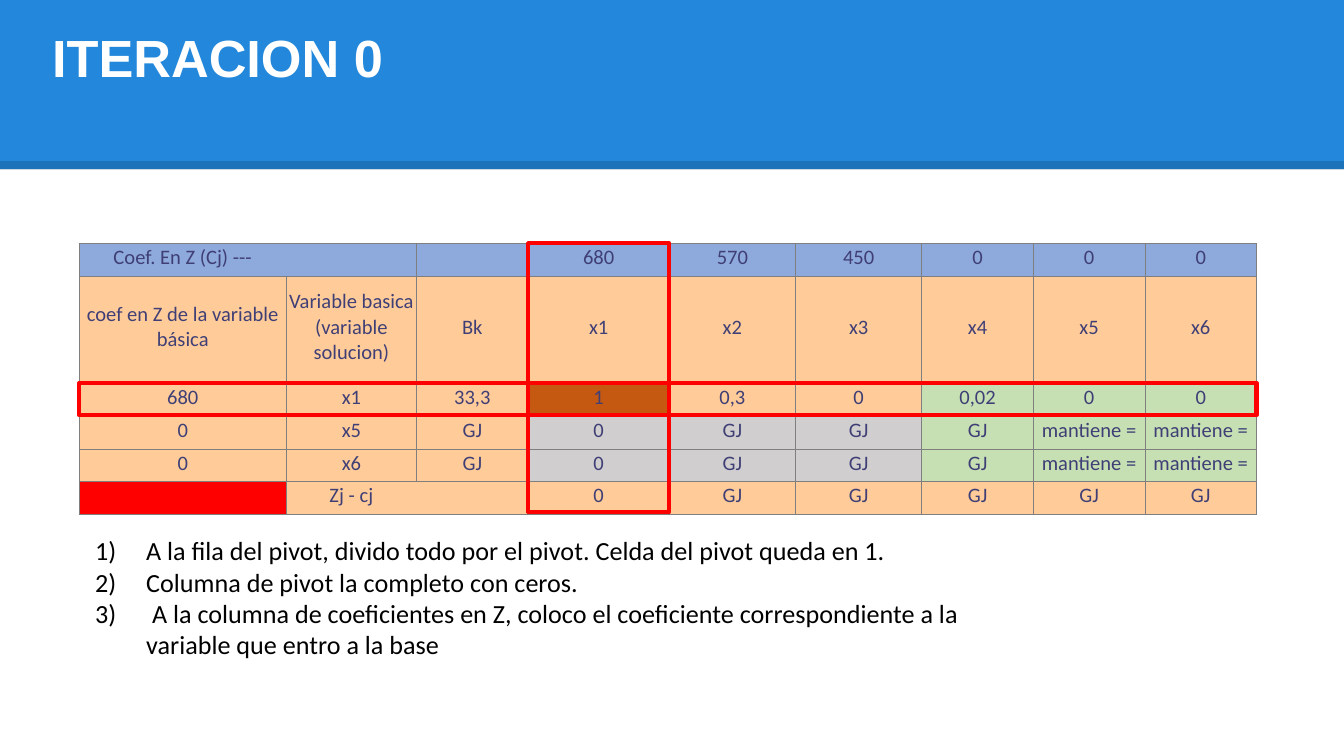
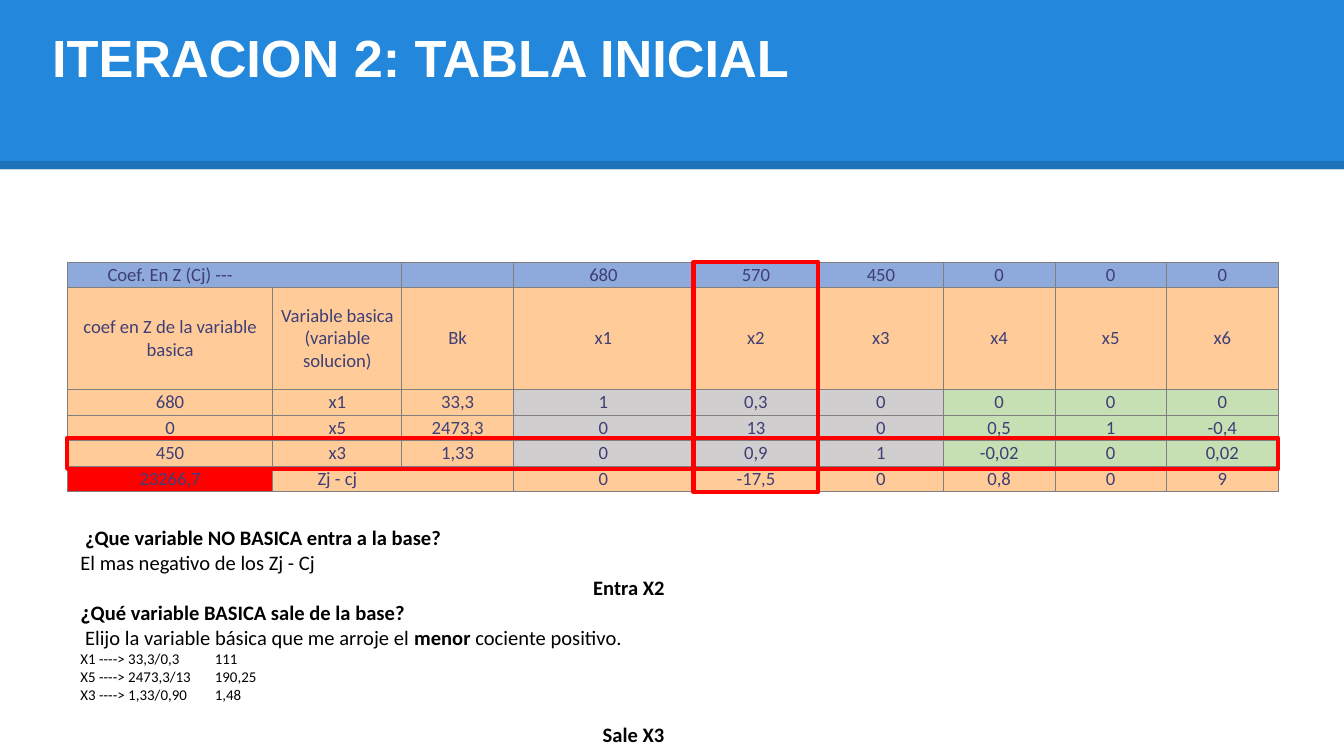
import pptx
import pptx.dml.color
import pptx.enum.shapes
import pptx.enum.text
import pptx.oxml.ns
import pptx.util
from lxml import etree

Inches = pptx.util.Inches
Pt = pptx.util.Pt
qn = pptx.oxml.ns.qn
ALIGN = pptx.enum.text.PP_ALIGN
RECTANGLE = pptx.enum.shapes.MSO_SHAPE.RECTANGLE

COLORS = {
    "band": "2388DB", "white": "FFFFFF", "black": "000000",
    "cell text": "3F3F76", "border": "7F7F7F", "frame": "FF0000",
}
# One letter per cell; "-" is a cell without fill.
FILLS = {
    "B": "8EA9DB", "O": "FFCC99", "G": "C6E0B4",
    "S": "D0CECE", "P": "C65911", "R": "FF0000",
}
NO_STYLE = "{2D5ABB26-0587-4C30-8999-92F81FD0307C}"

COEFFICIENTS = ["Coef. En Z (Cj) ---", "", "", "680", "570", "450", "0", "0", "0"]
VARIABLES = ["Variable basica (variable solucion)", "Bk", "x1", "x2", "x3", "x4", "x5", "x6"]

# Each row: height, fills, cell texts. Margins: sides and top, then bottom.
ITERATION_0 = {
    "at": (0.59, 1.81), "size": 11, "margins": (0.01, 0.05),
    "columns": [1.54, 0.97, 0.83, 1.05, 0.94, 0.94, 0.83, 0.83, 0.83],
    "rows": [
        (0.24, "BBBBBBBBB", COEFFICIENTS),
        (0.8, "OOOOOOOOO", ["coef en Z de la variable básica"] + VARIABLES),
        (0.24, "OOOPOOGGG", ["680", "x1", "33,3", "1", "0,3", "0", "0,02", "0", "0"]),
        (0.24, "OOOSSSGGG", ["0", "x5", "GJ", "0", "GJ", "GJ", "GJ", "mantiene =", "mantiene ="]),
        (0.24, "OOOSSSGGG", ["0", "x6", "GJ", "0", "GJ", "GJ", "GJ", "mantiene =", "mantiene ="]),
        (0.24, "ROOOOOOOO", ["", "Zj - cj", "", "0", "GJ", "GJ", "GJ", "GJ", "GJ"]),
    ],
    "pivot": (2, 3), "row pad": 0,
}
ITERATION_2 = {
    "at": (0.5, 1.76), "size": 10, "margins": (0, 0),
    "columns": [1.53, 0.96, 0.83, 1.34, 0.93, 0.93, 0.83, 0.83, 0.83],
    "rows": [
        (0.19, "---------", [""] * 9),
        (0.19, "BBBBBBBBB", COEFFICIENTS),
        (0.76, "OOOOOOOOO", ["coef en Z de la variable basica"] + VARIABLES),
        (0.19, "OOOSSSGGG", ["680", "x1", "33,3", "1", "0,3", "0", "0", "0", "0"]),
        (0.19, "OOOSSSGGG", ["0", "x5", "2473,3", "0", "13", "0", "0,5", "1", "-0,4"]),
        (0.19, "OOOSSSGGG", ["450", "x3", "1,33", "0", "0,9", "1", "-0,02", "0", "0,02"]),
        (0.19, "ROOOOOOOO", ["23266,7", "Zj - cj", "", "0", "-17,5", "0", "0,8", "0", "9"]),
    ],
    "pivot": (5, 4), "row pad": 0.02,
}

# Each paragraph: spans of (text, bold[, size]), then its settings.
STEPS = [
    ([(text, False)], {"size": 14, "numbered": True})
    for text in (
        "A la fila del pivot, divido todo por el pivot. Celda del pivot queda en 1.",
        "Columna de pivot la completo con ceros.",
        " A la columna de coeficientes en Z, coloco el coeficiente correspondiente a la "
        "variable que entro a la base",
    )
]
ENTERING = [
    ([(" ¿Que variable NO BASICA entra a la base?", True)], {}),
    ([("El mas negativo de los Zj - Cj", False)], {}),
    ([("Entra X2", True)], {"align": ALIGN.CENTER}),
]
LEAVING = [
    ([("¿", True, 12), ("Qué variable BASICA sale de la base?", True)], {}),
    ([(" Elijo la variable básica que me arroje el ", False), ("menor", True),
      (" cociente positivo.", False)], {}),
    ([("X1 ----> 33,3/0,3\t111", False)], {"size": 8}),
    ([("X5 ----> 2473,3/13\t190,25", False)], {"size": 8}),
    ([("X3 ----> 1,33/0,90\t1,48", False)], {"size": 8}),
    ([("Sale X3", True)], {"align": ALIGN.CENTER, "before": 10, "indent": 1.17}),
]

SLIDES = [
    {"title": "ITERACION 0", "title height": 1.99, "table": ITERATION_0,
     "texts": [((0.61, 3.93, 7.26, 1.46), STEPS)]},
    {"title": "ITERACION 2: TABLA INICIAL", "title height": 1.75, "table": ITERATION_2,
     "texts": [((0.5, 3.86, 8.36, 1.7), ENTERING), ((0.5, 4.4, 7.26, 1.23), LEAVING)]},
]


def rgb(value):
    return pptx.dml.color.RGBColor.from_string(value)


def set_font(font, name, size, color, bold=None):
    font.name = name
    font.size = Pt(size)
    font.bold = bold
    font.color.rgb = rgb(color)


def add_text_box(page, at):
    box = page.shapes.add_textbox(*map(Inches, at))
    box.text_frame.word_wrap = True
    return box.text_frame


def add_header(page, title, height):
    band = page.shapes.add_shape(RECTANGLE, 0, 0, Inches(10), Inches(1.26))
    band.shadow.inherit = False
    band.fill.solid()
    band.fill.fore_color.rgb = rgb(COLORS["band"])
    band.line.fill.background()

    edge = page.shapes.add_connector(
        pptx.enum.shapes.MSO_CONNECTOR.STRAIGHT, 0, Inches(1.23), Inches(10), Inches(1.23))
    edge.line.width = Pt(4.5)
    edge.line.color.rgb = rgb(COLORS["black"])
    properties = edge.element.find(qn("p:spPr"))
    color = next(properties.iter(qn("a:srgbClr")))
    etree.SubElement(color, qn("a:alpha"), val="14000")
    etree.SubElement(properties, qn("a:effectLst"))

    para = add_text_box(page, (0.29, 0.14, 9.12, height)).paragraphs[0]
    para.text = title
    set_font(para.font, "Arial", 28, COLORS["white"], True)


def add_borders(cell, sides):
    properties = cell._tc.get_or_add_tcPr()
    for side in "LRTB":
        line = etree.SubElement(properties, qn("a:ln" + side), w=str(Pt(0.5)))
        if side in sides:
            fill = etree.SubElement(line, qn("a:solidFill"))
            etree.SubElement(fill, qn("a:srgbClr"), val=COLORS["border"])
        else:
            etree.SubElement(line, qn("a:noFill"))


def border_sides(fills, column):
    """An empty cell right of a label shares one outline with that label."""
    if fills[column] == "-":
        return "B"
    label = {"B": 0, "R": 1}.get(fills[0])
    if label is not None and column == label:
        return "LTB"
    if label is not None and column == label + 1:
        return "RTB"
    return "LRTB"


def add_tableau(page, data):
    left, top = data["at"]
    widths = data["columns"]
    heights = [row[0] for row in data["rows"]]
    margin, bottom = map(Inches, data["margins"])
    graphic = page.shapes.add_table(
        len(heights), len(widths), Inches(left), Inches(top),
        Inches(sum(widths)), Inches(sum(heights)))
    table = graphic.table
    table.first_row = table.horz_banding = False
    next(graphic.element.iter(qn("a:tableStyleId"))).text = NO_STYLE
    for column, width in zip(table.columns, widths):
        column.width = Inches(width)

    for r, (height, fills, texts) in enumerate(data["rows"]):
        table.rows[r].height = Inches(height)
        for c, text in enumerate(texts):
            cell = table.cell(r, c)
            add_borders(cell, border_sides(fills, c))
            if fills[c] == "-":
                cell.fill.background()
            else:
                cell.fill.solid()
                cell.fill.fore_color.rgb = rgb(FILLS[fills[c]])
            cell.margin_left = cell.margin_right = cell.margin_top = margin
            cell.margin_bottom = bottom
            cell.vertical_anchor = pptx.enum.text.MSO_ANCHOR.MIDDLE
            para = cell.text_frame.paragraphs[0]
            para.alignment = ALIGN.CENTER
            set_font(para.font, "Calibri", data["size"], COLORS["cell text"])
            if text:
                para.text = text
            else:
                etree.SubElement(para._p, qn("a:endParaRPr"), sz=str(data["size"] * 100))


def add_pivot_frames(page, data):
    left, top = data["at"]
    widths = data["columns"]
    heights = [row[0] for row in data["rows"]]
    row, column = data["pivot"]
    pad = data["row pad"]
    first = next(i for i, (_, fills, _) in enumerate(data["rows"]) if fills[0] != "-")
    frames = [
        (left + sum(widths[:column]), top + sum(heights[:first]),
         widths[column], sum(heights[first:])),
        (left, top + sum(heights[:row]) - pad, sum(widths), heights[row] + 2 * pad),
    ]
    for at in frames:
        frame = page.shapes.add_shape(RECTANGLE, *map(Inches, at))
        frame.shadow.inherit = False
        frame.fill.background()
        frame.line.color.rgb = rgb(COLORS["frame"])
        frame.line.width = Pt(2.25)


def add_paragraphs(page, at, paragraphs):
    frame = add_text_box(page, at)
    for i, (spans, settings) in enumerate(paragraphs):
        para = frame.add_paragraph() if i else frame.paragraphs[0]
        para.alignment = settings.get("align", ALIGN.LEFT)
        para.space_before = Pt(settings.get("before", 0))
        properties = para._p.get_or_add_pPr()
        if "indent" in settings:
            properties.set("marL", str(Inches(settings["indent"])))
        if settings.get("numbered"):
            properties.set("marL", str(Inches(0.38)))
            properties.set("indent", str(Inches(-0.38)))
            etree.SubElement(properties, qn("a:buFont"), typeface="Calibri")
            etree.SubElement(properties, qn("a:buAutoNum"), type="arabicParenR")
        set_font(para.font, "Calibri", settings.get("size", 11), COLORS["black"])
        for text, bold, *size in spans:
            span = para.add_run()
            span.text = text
            span.font.bold = bold
            if size:
                span.font.size = Pt(size[0])


def main():
    deck = pptx.Presentation()
    deck.slide_width = Inches(10)
    deck.slide_height = deck.slide_width * 9 // 16
    for content in SLIDES:
        page = deck.slides.add_slide(deck.slide_layouts[6])
        add_header(page, content["title"], content["title height"])
        add_tableau(page, content["table"])
        add_pivot_frames(page, content["table"])
        for at, paragraphs in content["texts"]:
            add_paragraphs(page, at, paragraphs)
    deck.save("out.pptx")


if __name__ == "__main__":
    main()
